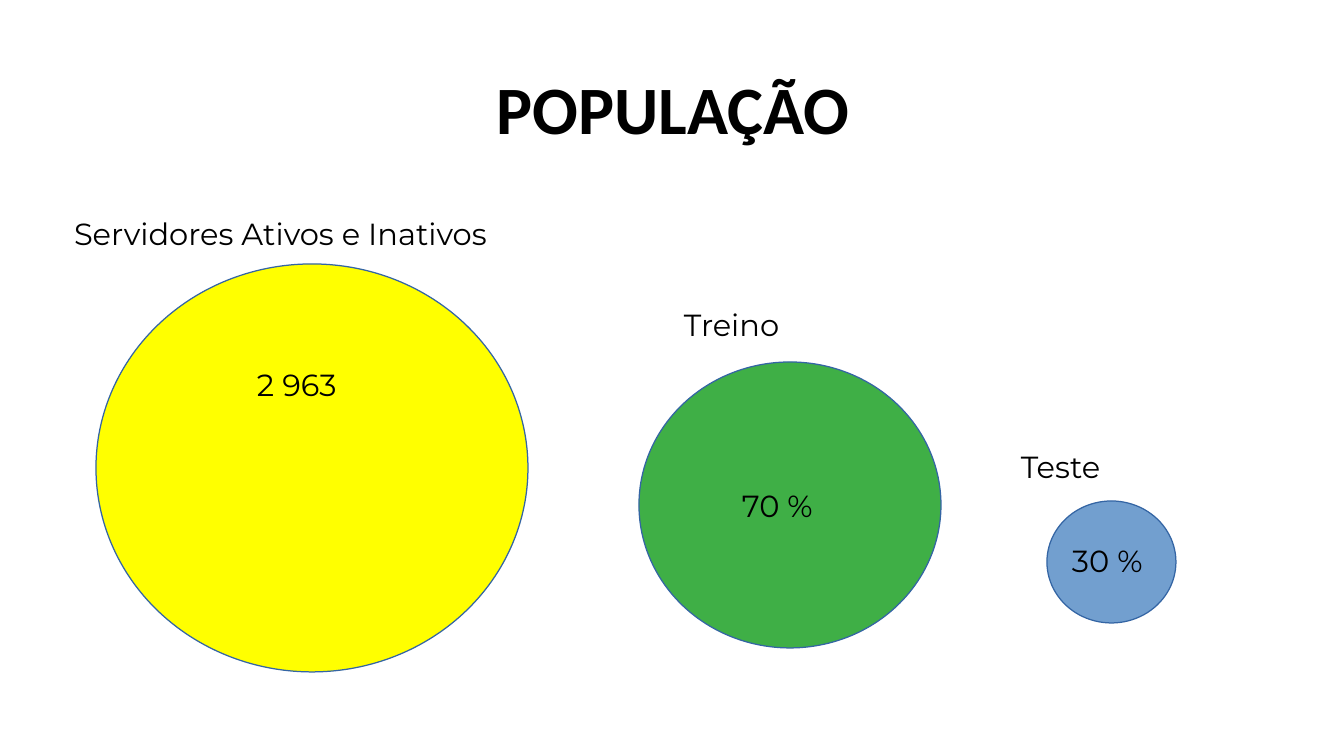
from dataclasses import dataclass

from pptx import Presentation
from pptx.dml.color import RGBColor
from pptx.enum.shapes import MSO_SHAPE
from pptx.enum.text import MSO_ANCHOR, PP_ALIGN
from pptx.util import Emu, Pt


@dataclass(frozen=True)
class Theme:
    """Colours, fonts and type sizes of the slide."""
    ink: str = "000000"
    outline: str = "3465A4"
    population: str = "FFFF00"
    training: str = "3FAF46"
    testing: str = "729FCF"
    title_font: str = "Calibri"
    body_font: str = "Montserrat"
    title_size: int = 40
    body_size: int = 18


class SlideBuilder:
    """Draws styled elements on the current slide in pixel lengths."""

    def __init__(self, slide, theme):
        self.slide = slide
        self.theme = theme

    @staticmethod
    def px(length):
        """Turn pixels into EMU."""
        return Emu(round(length * 914400 / 122))

    def text(self, words, left, top, width, height, font, size, bold=False):
        """Add a wrapped one-paragraph text box and return its frame."""
        box = self.slide.shapes.add_textbox(*map(self.px, (left, top, width, height)))
        frame = box.text_frame
        frame.word_wrap = True
        frame.text = words
        style = frame.paragraphs[0].runs[0].font
        style.name, style.size, style.bold = font, Pt(size), bold
        style.color.rgb = RGBColor.from_string(self.theme.ink)
        return frame

    def title(self, words, left, top, width, height):
        """Add the centred bold heading."""
        frame = self.text(words, left, top, width, height,
                          self.theme.title_font, self.theme.title_size, bold=True)
        frame.margin_left = frame.margin_right = frame.margin_top = frame.margin_bottom = 0
        frame.vertical_anchor = MSO_ANCHOR.MIDDLE
        frame.paragraphs[0].alignment = PP_ALIGN.CENTER
        frame.paragraphs[0].line_spacing = 0.9

    def label(self, words, left, top, width):
        """Add a line of body text."""
        self.text(words, left, top, width, 55, self.theme.body_font, self.theme.body_size)

    def bubble(self, left, top, width, height, colour):
        """Add a thinly outlined round shape."""
        shape = self.slide.shapes.add_shape(
            MSO_SHAPE.FLOWCHART_CONNECTOR, *map(self.px, (left, top, width, height)))
        shape.shadow.inherit = False
        shape.fill.solid()
        shape.fill.fore_color.rgb = RGBColor.from_string(colour)
        shape.line.color.rgb = RGBColor.from_string(self.theme.outline)
        shape.line.width = Pt(0)


theme = Theme()
deck = Presentation()
deck.slide_width, deck.slide_height = SlideBuilder.px(1344), SlideBuilder.px(756)
builder = SlideBuilder(deck.slides.add_slide(deck.slide_layouts[6]), theme)

builder.title("POPULAÇÃO", 93, 40, 1160, 146)

groups = [
    ((96, 264, 432, 408), theme.population,
     ("Servidores Ativos e Inativos", 62, 209, 504), ("2 963", 245, 360, 122)),
    ((639, 362, 302, 286), theme.training,
     ("Treino", 672, 300, 168), ("70 %", 730, 481, 122)),
    ((1047, 501, 129, 122), theme.testing,
     ("Teste", 1009, 442, 168), ("30 %", 1060, 536, 122)),
]
for bounds, colour, name, share in groups:
    builder.bubble(*bounds, colour)
    builder.label(*name)
    builder.label(*share)

deck.save("out.pptx")
